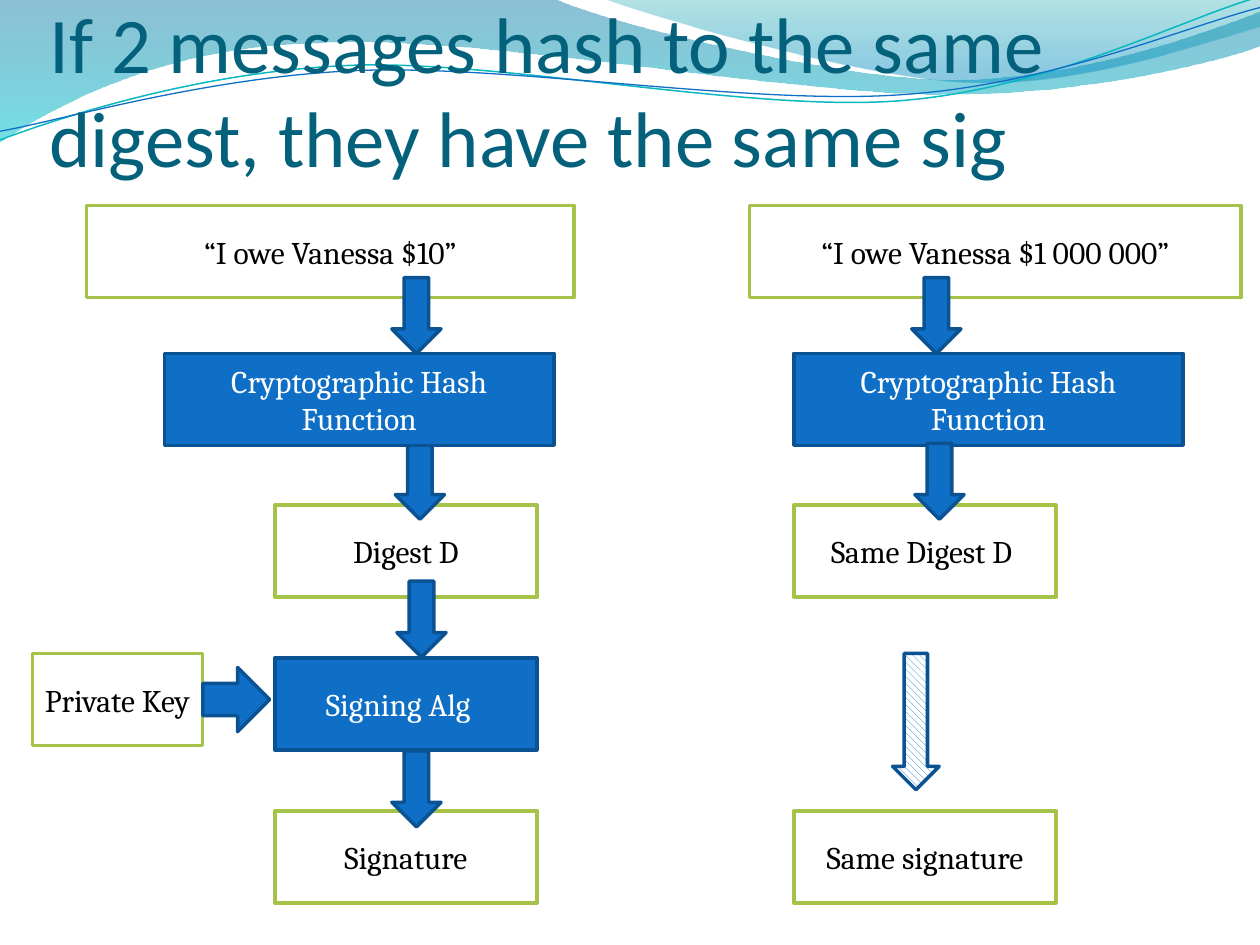
from lxml import etree
from pptx import Presentation
from pptx import util as u
from pptx.dml.color import RGBColor
from pptx.enum import dml, shapes, text
from pptx.oxml.ns import qn

BLUE, NAVY, GREEN, WHITE, BLACK = "0F6FC6", "0B5292", "A5C249", "FFFFFF", "000000"
# Top edge of each row of the flow
MESSAGE, HASH, DIGEST, SIGN, SIGNATURE = 117.4, 201.9, 288.7, 375.9, 463.4
LEFT, RIGHT = 157, 453.6  # left edges of the two columns
BOX_H, BOX_W, HASH_W = 52.6, 149.8, 222.5
DOWN = shapes.MSO_SHAPE.DOWN_ARROW


def rgb(color):
    return RGBColor.from_string(color)


def put_text(sp, content, size=18, font="Cambria", color=BLACK,
             align=text.PP_ALIGN.CENTER, anchor=text.MSO_ANCHOR.MIDDLE,
             insets=(7.2, 3.6, 7.2, 3.6)):
    tf = sp.text_frame
    tf.word_wrap = True
    tf.vertical_anchor = anchor
    (tf.margin_left, tf.margin_top,
     tf.margin_right, tf.margin_bottom) = map(u.Pt, insets)
    p = tf.paragraphs[0]
    p.alignment = align
    r = p.add_run()
    r.text = content
    r.font.size = u.Pt(size)
    r.font.name = font
    r.font.color.rgb = rgb(color)


def add_block(s, kind, x, y, w, h, fill=BLUE, line=NAVY):
    sp = s.shapes.add_shape(kind, *map(u.Pt, (x, y, w, h)))
    sp.shadow.inherit = False
    sp.fill.solid()
    sp.fill.fore_color.rgb = rgb(fill)
    sp.line.color.rgb = rgb(line)
    sp.line.width = u.Pt(2)
    return sp


def data_box(s, content, x, y, w=BOX_W, **fmt):
    sp = add_block(s, shapes.MSO_SHAPE.RECTANGLE, x, y, w, BOX_H, WHITE, GREEN)
    put_text(sp, content, **fmt)


def step_box(s, content, x, y, w=BOX_W, **fmt):
    sp = add_block(s, shapes.MSO_SHAPE.RECTANGLE, x, y, w, BOX_H)
    put_text(sp, content, color=WHITE, **fmt)


def down_arrow(s, x, y):
    add_block(s, DOWN, x, y, 28.1, 43.4)


def add_wave(s, start, segments, close=False):
    """Segments hold one point (straight) or three (curve)."""
    builder = s.shapes.build_freeform(*map(u.Pt, start), scale=1.0)
    builder.add_line_segments(
        [(u.Pt(x), u.Pt(y)) for seg in segments for x, y in seg], close=close)
    sp = builder.convert_to_shape()
    sp.shadow.inherit = False
    # Join each three points of a curve into one cubic segment
    lines = iter(list(sp._element.iter(qn("a:lnTo"))))
    for seg in segments:
        parts = [next(lines) for _ in seg]
        if len(parts) == 3:
            curve = etree.Element(qn("a:cubicBezTo"))
            parts[0].addprevious(curve)
            for part in parts:
                curve.append(part[0])
                part.getparent().remove(part)
    return sp


def wave_band(s, start, segments, stops):
    sp = add_wave(s, start, segments, close=True)
    sp.line.fill.background()
    sp.fill.gradient()
    sp.fill.gradient_angle = 270
    for stop, (position, color, _) in zip(sp.fill.gradient_stops, stops):
        stop.position = position
        stop.color.rgb = rgb(color)
    colors = sp._element.spPr.iter(qn("a:srgbClr"))
    for clr, (_, _, opacity) in zip(list(colors), stops):
        etree.SubElement(clr, qn("a:alpha")).set("val", str(opacity * 1000))


def wave_line(s, start, segments, color, width):
    sp = add_wave(s, start, segments)
    sp.rotation = -2.7
    sp.fill.background()
    sp.line.color.rgb = rgb(color)
    sp.line.width = u.Pt(width)


def add_background(s):
    wave_band(s, (0, 0), [
        [(316.8, -0.7)],
        [(342.7, 12.2), (478.1, 45.4), (545.8, 45.4)],
        [(614.2, 45.4), (689.8, 18.7), (720, 6.5)],
        [(720.7, 25.9)],
        [(707.8, 31.7), (626.4, 54.7), (537.1, 54)],
        [(447.8, 54), (275, 20.2), (185, 24.5)],
        [(92.9, 25.9), (33.1, 59.8), (-0.7, 81.4)],
        [(0, 0)],
    ], [(0, "0074A1", 45), (1, "00C6CF", 55)])
    wave_band(s, (344.9, -0.7), [
        [(366.5, 7.9), (491, 44.6), (553.7, 46.8)],
        [(616.3, 49.7), (691.9, 23), (720, 15.1)],
        [(720, 0)],
        [(344.9, -0.7)],
    ], [(0, "00A1A9", 30), (0.8, "008BBF", 45)])
    wave_line(s, (-1.4, 63), [
        [(33.8, 51.7), (114.1, 29.4), (199.8, 29.9)],
        [(284.8, 30.3), (425.8, 67.3), (512.4, 64.9)],
        [(599, 62.4), (676.5, 25.7), (720.2, 15.5)],
    ], "0AB8BF", 0.85)
    wave_line(s, (-1.1, 58), [
        [(32.9, 53.8), (118.3, 32.5), (204.1, 33)],
        [(290.6, 33.4), (428.9, 63.8), (515.5, 61.4)],
        [(601.3, 59.6), (678.5, 30.1), (721.4, 21.3)],
    ], BLUE, 0.75)


def main():
    prs = Presentation()
    prs.slide_width, prs.slide_height = u.Pt(720), u.Pt(540)
    s = prs.slides.add_slide(prs.slide_layouts[6])
    add_background(s)

    # Title
    title = s.shapes.add_textbox(*map(u.Pt, (28.3, 14.8, 648, 90)))
    put_text(title, "If 2 messages hash to the same digest, they have the same sig",
             size=45, font="Calibri", color="04617B", align=text.PP_ALIGN.LEFT,
             anchor=text.MSO_ANCHOR.BOTTOM, insets=(0, 3.6, 0, 0))

    # Left flow: signing the first message
    data_box(s, "“I owe Vanessa $10”", 49.5, MESSAGE, 278.6)
    data_box(s, "Digest D", LEFT, DIGEST)
    step_box(s, "Signing Alg", LEFT, SIGN, insets=(7.2, 3.6, 15.8, 3.6))
    data_box(s, "Signature", LEFT, SIGNATURE)
    data_box(s, "Private Key", 18.5, 373.4, 97.2)
    for x, y in ((223.9, 158.6), (226.8, 429.1 - 97), (223.9, 429.1), (225.9, 253.3)):
        down_arrow(s, x, y)
    add_block(s, shapes.MSO_SHAPE.RIGHT_ARROW, 115.9, 381.4, 38.2, 36.7)
    step_box(s, "Cryptographic Hash Function", 94, HASH, HASH_W)

    # Right flow: second message with the same digest
    data_box(s, "“I owe Vanessa $1 000 000”", 428.4, MESSAGE, 280.8)
    data_box(s, "Same Digest D", RIGHT, DIGEST, insets=(7.2, 3.6, 10.9, 3.6))
    step_box(s, "Cryptographic Hash Function", RIGHT, HASH, HASH_W)
    data_box(s, "Same signature", RIGHT, SIGNATURE)
    down_arrow(s, 521, 158.6)
    down_arrow(s, 522.8, 253.3)

    # Hatched arrow: the signing step is skipped
    hatched = add_block(s, DOWN, 510.1, 373.4, 26.6, 77.8)
    hatched.fill.patterned()
    hatched.fill.pattern = dml.MSO_PATTERN.WIDE_DOWNWARD_DIAGONAL
    hatched.fill.fore_color.rgb = rgb(BLUE)
    hatched.fill.back_color.rgb = rgb(WHITE)

    prs.save("out.pptx")


if __name__ == "__main__":
    main()
